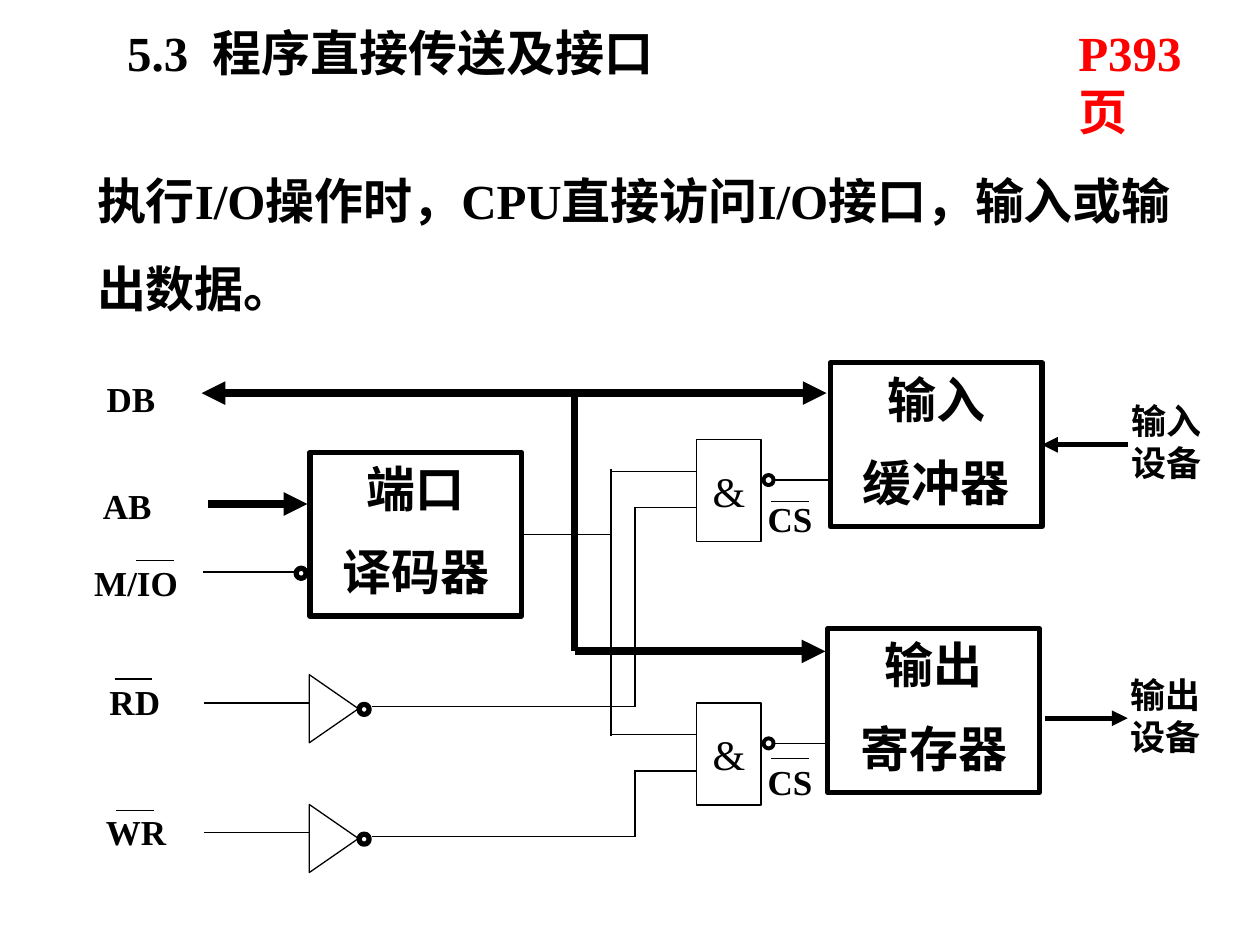
"""Build the slide on direct program transfer and its I/O interface."""
from dataclasses import dataclass

from lxml.etree import SubElement
from pptx import Presentation
from pptx.dml.color import RGBColor
from pptx.enum.shapes import MSO_CONNECTOR, MSO_SHAPE
from pptx.enum.text import MSO_ANCHOR, MSO_AUTO_SIZE, PP_ALIGN
from pptx.oxml.ns import qn
from pptx.util import Inches, Pt

BLACK = RGBColor(0x00, 0x00, 0x00)
RED = RGBColor(0xFF, 0x00, 0x00)
FONT = "Times New Roman"
THIN, BOLD, BUS = 0.75, 3, 4.5
BLOCK_W, BLOCK_H = 1.68, 1.3
GATE_W, GATE_H = 0.51, 0.81
DOT = 0.08
BAR = 0.3


@dataclass
class Label:
    text: str
    left: float
    top: float
    width: float = 1.28
    height: float = 0.43


@dataclass
class Wire:
    x1: float
    y1: float
    x2: float
    y2: float
    weight: float = THIN
    head: bool = False
    tail: bool = False


LABELS = [
    Label("DB", 0.4, 2.95),
    Label("AB", 0.37, 3.8),
    Label("M/IO", 0.44, 4.41),
    Label("RD", 0.43, 5.35),
    Label("WR", 0.44, 6.38),
    Label("输入设备", 8.77, 3.12, 0.98, 0.77),
    Label("输出设备", 8.76, 5.3, 0.98, 0.77),
]
WIRES = [
    Wire(1.65, 4, 2.44, 4, BUS, tail=True),
    Wire(1.61, 4.54, 2.35, 4.54),
    Wire(4.85, 3.72, 4.85, 5.84),
    Wire(5.04, 4.03, 5.04, 5.61),
    Wire(5.04, 6.12, 5.04, 6.64),
    Wire(1.6, 3.12, 6.56, 3.12, BUS, head=True, tail=True),
    Wire(4.56, 3.1, 4.56, 5.17, BUS),
    Wire(4.56, 5.17, 6.55, 5.17, BUS, tail=True),
    Wire(8.95, 5.7, 8.29, 5.7, BOLD, head=True),
]
BARS = [(1.08, 4.45), (0.91, 5.39), (0.92, 6.43), (6.12, 3.98), (6.12, 6.02)]


def place(shape, left: float, top: float, width: float, height: float) -> None:
    shape.left, shape.top = Inches(left), Inches(top)
    shape.width, shape.height = Inches(width), Inches(height)


def write(shape, text: str, *, size: float = 28, bold: bool = True, color=BLACK,
          align=PP_ALIGN.LEFT, anchor=MSO_ANCHOR.TOP, wrap: bool = True,
          space: float = 1, plain: bool = False) -> None:
    frame = shape.text_frame
    frame.word_wrap = wrap
    frame.auto_size = MSO_AUTO_SIZE.NONE
    frame.vertical_anchor = anchor
    for i, line in enumerate(text.split("\n")):
        para = frame.add_paragraph() if i else frame.paragraphs[0]
        para.alignment = align
        para.line_spacing = space
        para.space_before = Pt(size / 2 if i else 0)
        if plain:
            props = para._p.get_or_add_pPr()
            props.set("marL", "0")
            props.set("indent", "0")
            SubElement(props, qn("a:buNone"))
        run = para.add_run()
        run.text = line
        run.font.name, run.font.size = FONT, Pt(size)
        run.font.bold, run.font.color.rgb = bold, color


def add_label(slide, label: Label) -> None:
    box = slide.shapes.add_textbox(Inches(label.left), Inches(label.top),
                                   Inches(label.width), Inches(label.height))
    write(box, label.text, size=20, align=PP_ALIGN.CENTER)


def add_form(slide, kind, left: float, top: float, width: float, height: float,
             weight: float = THIN):
    form = slide.shapes.add_shape(kind, Inches(left), Inches(top),
                                  Inches(width), Inches(height))
    form.shadow.inherit = False
    form.fill.background()
    form.line.color.rgb = BLACK
    form.line.width = Pt(weight)
    return form


def add_wire(slide, wire: Wire):
    line = slide.shapes.add_connector(
        MSO_CONNECTOR.STRAIGHT, Inches(wire.x1), Inches(wire.y1),
        Inches(wire.x2), Inches(wire.y2))
    line.line.color.rgb = BLACK
    line.line.width = Pt(wire.weight)
    for tag, shown in (("a:headEnd", wire.head), ("a:tailEnd", wire.tail)):
        if shown:
            SubElement(line.line._get_or_add_ln(), qn(tag), type="triangle")
    SubElement(line._element.spPr, qn("a:effectLst"))
    return line


def add_block(slide, text: str, left: float, top: float):
    block = add_form(slide, MSO_SHAPE.RECTANGLE, left, top, BLOCK_W, BLOCK_H, BOLD)
    write(block, text, align=PP_ALIGN.CENTER)
    return block


def add_dot(slide, left: float, top: float, weight: float = BOLD) -> None:
    add_form(slide, MSO_SHAPE.OVAL, left, top, DOT, DOT, weight)


def add_gate(slide, top: float) -> None:
    left = 5.53
    gate = add_form(slide, MSO_SHAPE.RECTANGLE, left, top, GATE_W, GATE_H)
    write(gate, "&", size=24, bold=False, align=PP_ALIGN.CENTER,
          anchor=MSO_ANCHOR.MIDDLE, wrap=False)
    add_dot(slide, 6.06, top + 0.28, 2.25)
    for start, end, drop in ((6.13, 6.57, 0.32), (4.86, left, 0.25), (5.03, left, 0.54)):
        add_wire(slide, Wire(start, top + drop, end, top + drop))
    add_label(slide, Label("CS", 5.63, top + 0.41))


def add_not(slide, top: float) -> None:
    form = add_form(slide, MSO_SHAPE.ISOSCELES_TRIANGLE, 2.38, top, 0.54, 0.39)
    form.rotation = 90
    add_dot(slide, 2.85, top + 0.16)
    add_wire(slide, Wire(1.62, top + 0.15, 2.45, top + 0.15))
    add_wire(slide, Wire(2.95, top + 0.18, 5.04, top + 0.18))


def main() -> None:
    deck = Presentation()
    deck.slide_width, deck.slide_height = Inches(10), Inches(7.5)
    slide = deck.slides.add_slide(deck.slide_layouts[1])
    title, body = slide.placeholders
    place(title, 0.91, 0.13, 7.5, 0.57)
    write(title, "5.3  程序直接传送及接口")
    place(body, 0.67, 1.07, 8.82, 1.43)
    write(body, "执行I/O操作时，CPU直接访问I/O接口，输入或输出数据。",
          space=1.5, plain=True)
    page = slide.shapes.add_textbox(Inches(8.46), Inches(0.13), Inches(1.35), Inches(1.04))
    write(page, "P393页", color=RED)

    coder = add_block(slide, "端口\n译码器", 2.46, 3.59)
    buffer = add_block(slide, "输入\n缓冲器", 6.59, 2.88)
    add_block(slide, "输出\n寄存器", 6.57, 4.99)
    add_dot(slide, 2.35, 4.51)
    for top in (3.49, 5.58):
        add_gate(slide, top)
    for top in (5.43, 6.46):
        add_not(slide, top)
    for wire in WIRES:
        add_wire(slide, wire)
    for left, top in BARS:
        add_wire(slide, Wire(left, top, left + BAR, top))
    add_wire(slide, Wire(4.14, 4.24, 4.85, 4.24)).begin_connect(coder, 3)
    add_wire(slide, Wire(8.95, 3.53, 8.27, 3.53, BOLD, tail=True)).end_connect(buffer, 3)
    for label in LABELS:
        add_label(slide, label)
    deck.save("out.pptx")


if __name__ == "__main__":
    main()
